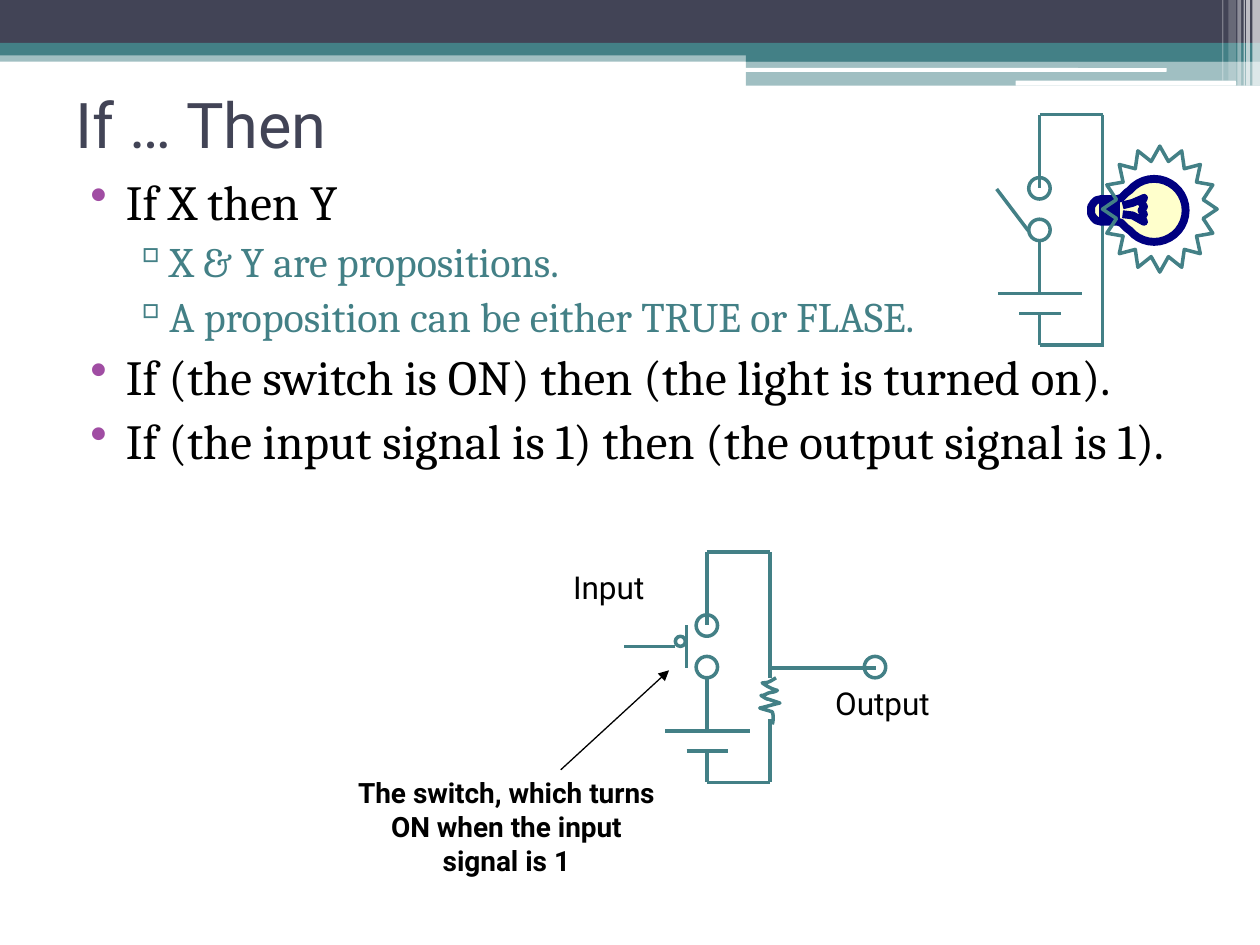
from math import cos, pi, radians, sin

from lxml.etree import SubElement
from pptx import Presentation
from pptx.dml.color import RGBColor
from pptx.enum.shapes import MSO_CONNECTOR, MSO_SHAPE
from pptx.enum.text import MSO_ANCHOR, MSO_AUTO_SIZE, PP_ALIGN
from pptx.oxml.ns import qn
from pptx.util import Inches, Pt

THEME = {
    "slate": "424456", "teal": "438086", "white": "FFFFFF", "black": "000000",
    "violet": "A04DA3", "navy": "000080", "cream": "FFFFCC",
    "title": 36, "body": (28, 24), "label": 18, "note": 16,
    "wire": 2, "arrow": 0.75, "bulb": 4.5,
    "sans": "Roboto", "serif": "Cambria",
}

TITLE = "If … Then"
BODY = [
    (0, "If X then Y"),
    (1, "X & Y are propositions."),
    (1, "A proposition can be either TRUE or FLASE."),
    (0, "If (the switch is ON) then (the light is turned on)."),
    (0, "If (the input signal is 1) then (the output signal is 1)."),
]
# bullet, bullet colour, text colour, left margin, hanging indent
LEVELS = [("•", "violet", "black", 0.4, 0.28), ("▫", "teal", "teal", 0.72, 0.27)]
LABELS = [("Output", 6.53, 5.38, 1.17), ("Input", 4.45, 4.46, 1)]
NOTE = "The switch, which turns ON when the input signal is 1"

# left, top, width, height, colour, opacity in percent
BANDS = [
    (0, 0.4, 10, 0.09, "teal", 50),
    (0, 0, 10, 0.34, "slate", 100),
    (0, 0.34, 10, 0.1, "teal", 100),
    (5.92, 0.39, 4.08, 0.1, "teal", 100),
    (5.92, 0.48, 4.08, 0.2, "teal", 50),
]
RULES = [(5.91, 0.54, 3.35, 0.03, "white", 100), (8.06, 0.64, 1.75, 0.04, "white", 100)]
STRIPES = [
    (9.94, 0, 0.06, 0.68, "white", 65), (9.89, 0, 0.03, 0.68, "white", 65),
    (9.87, 0, 0.01, 0.68, "white", 60), (9.82, 0, 0.03, 0.68, "white", 40),
    (9.75, 0, 0.06, 0.64, "white", 20), (9.7, 0, 0.01, 0.64, "white", 30),
]

# Wires and switch contacts of a battery circuit, from its top left corner
LOOP_WIRES = [
    (0, 0, 0, 0.58), (0, 0, 0.5, 0), (-0.33, 1.42, 0.34, 1.42),
    (-0.16, 1.58, 0.17, 1.58), (0, 1.83, 0.5, 1.83), (0, 1, 0, 1.42),
    (0, 1.58, 0, 1.83),
]
CONTACTS = [(0, 0.585), (0, 0.915)]
CONTACT_SIZE = 0.17
SIGNAL_ORIGIN, LAMP_ORIGIN = (5.61, 4.38), (8.25, 0.91)
SIGNAL_WIRES = [
    (6.11, 5.71, 6.11, 6.21), (6.11, 4.38, 6.11, 5.38), (5.45, 5.3, 5.45, 4.96),
    (5.36, 5.13, 4.95, 5.13), (6.11, 5.3, 6.95, 5.3),
]
LAMP_WIRES = [(8.75, 1.75, 8.75, 2.75), (8.75, 0.91, 8.75, 1.58), (8.16, 1.83, 7.91, 1.5)]
RESISTOR_START = (6.16, 5.38)
RESISTOR_CURVES = [
    (6.11, 5.41, 6.1, 5.42, 6.05, 5.42), (6.09, 5.45, 6.13, 5.47, 6.17, 5.48),
    (6.14, 5.5, 6.11, 5.49, 6.08, 5.51), (6.05, 5.52, 6.07, 5.52, 6.04, 5.52),
    (6.06, 5.53, 6.08, 5.55, 6.1, 5.55), (6.13, 5.56, 6.19, 5.58, 6.19, 5.58),
    (6.14, 5.59, 6.08, 5.61, 6.03, 5.62), (6.06, 5.63, 6.1, 5.64, 6.13, 5.65),
    (6.14, 5.68, 6.14, 5.71, 6.13, 5.75),
]
BULB_AXIS, GLASS_X, GLASS_RADIUS = 1.67, 9.16, 0.25
BULB_NECK = [(8.66, 1.67), (8.66, 1.64), (8.68, 1.61), (8.7, 1.59), (8.74, 1.58),
             (8.87, 1.58), (8.9, 1.57), (8.94, 1.53)]
FILAMENT = [(8.91, 1.63), (8.99, 1.61), (9.06, 1.58), (9.08, 1.57), (9.06, 1.61),
            (9.08, 1.64), (9.06, 1.67), (9.08, 1.7), (9.06, 1.72), (9.08, 1.76),
            (8.99, 1.71), (8.91, 1.7)]
CAP = [(8.86, 1.58), (8.86, 1.75), (8.82, 1.75), (8.82, 1.58),
       (8.78, 1.58), (8.78, 1.75), (8.75, 1.75), (8.75, 1.58)]
RAYS, RAY_CENTRE, RAY_RADII, RAY_INNER = 16, (9.205, 1.66), (0.455, 0.5), 0.77


def color(name):
    return RGBColor.from_string(THEME[name])


def style(shape, fill=None, line=None, width=0, opacity=100):
    shape.shadow.inherit = False
    if fill:
        shape.fill.solid()
        shape.fill.fore_color.rgb = color(fill)
        if opacity < 100:
            tint = shape.fill._xPr.find(qn("a:solidFill"))[0]
            SubElement(tint, qn("a:alpha"), val=str(opacity * 1000))
    else:
        shape.fill.background()
    if line:
        shape.line.color.rgb = color(line)
        shape.line.width = Pt(width)
    else:
        shape.line.fill.background()


def add_bars(shapes, kind, bars):
    for left, top, width, height, fill, opacity in bars:
        bar = shapes.add_shape(kind, *map(Inches, (left, top, width, height)))
        style(bar, fill, opacity=opacity)


def add_wire(shapes, ends, line="teal", width=THEME["wire"]):
    wire = shapes.add_connector(MSO_CONNECTOR.STRAIGHT, *map(Inches, ends))
    wire.line.color.rgb = color(line)
    wire.line.width = Pt(width)
    SubElement(wire._element.spPr, qn("a:effectLst"))
    return wire


def add_ring(shapes, x, y, size=CONTACT_SIZE):
    ring = shapes.add_shape(MSO_SHAPE.OVAL, Inches(x - size / 2), Inches(y - size / 2),
                            Inches(size), Inches(size))
    style(ring, line="teal", width=THEME["wire"])


def add_outline(shapes, strokes, closed=False, fill=None, line="teal", width=THEME["wire"]):
    """Draw one freeform from strokes, each a list of points in inches."""
    strokes = [[(Inches(x), Inches(y)) for x, y in stroke] for stroke in strokes]
    builder = shapes.build_freeform(*strokes[0][0], scale=1.0)
    for index, stroke in enumerate(strokes):
        if index:
            builder.move_to(*stroke[0])
        builder.add_line_segments(stroke[1:], close=closed)
    style(builder.convert_to_shape(), fill, line, width)


def add_text(shapes, place, text, size, font, ink):
    box = shapes.add_textbox(*map(Inches, place))
    frame = box.text_frame
    frame.word_wrap = True
    frame.text = text
    for paragraph in frame.paragraphs:
        for span in paragraph.runs:
            span.font.size, span.font.name = Pt(size), font
            span.font.color.rgb = color(ink)
    return frame


def add_body(shapes):
    frame = add_text(shapes, (0.5, 1.31, 9, 3.7), "\n".join(text for _, text in BODY),
                     THEME["body"][0], THEME["serif"], "black")
    for index, (paragraph, (level, _)) in enumerate(zip(frame.paragraphs, BODY)):
        bullet, bullet_ink, ink, margin, hang = LEVELS[level]
        paragraph.level = level
        paragraph.space_before = Pt(3 if index else 0)
        properties = paragraph._p.get_or_add_pPr()
        properties.set("marL", str(Inches(margin)))
        properties.set("indent", str(-Inches(hang)))
        tint = SubElement(properties, qn("a:buClr"))
        SubElement(tint, qn("a:srgbClr"), val=THEME[bullet_ink])
        SubElement(properties, qn("a:buChar"), char=bullet)
        span = paragraph.runs[0]
        span.font.size = Pt(THEME["body"][level])
        span.font.color.rgb = color(ink)


def add_loop(shapes, origin, extra_wires):
    x, y = origin
    for x1, y1, x2, y2 in LOOP_WIRES:
        add_wire(shapes, (x + x1, y + y1, x + x2, y + y2))
    for dx, dy in CONTACTS:
        add_ring(shapes, x + dx, y + dy)
    for ends in extra_wires:
        add_wire(shapes, ends)


def curve_points(start, curves, steps=6):
    """Sample a chain of cubic Bezier curves."""
    points = [start]
    for x1, y1, x2, y2, x3, y3 in curves:
        corners = [points[-1], (x1, y1), (x2, y2), (x3, y3)]
        for step in range(1, steps + 1):
            t = step / steps
            weights = ((1 - t) ** 3, 3 * t * (1 - t) ** 2, 3 * t * t * (1 - t), t ** 3)
            points.append(tuple(sum(w * c[axis] for w, c in zip(weights, corners))
                                for axis in (0, 1)))
    return points


def bulb_points():
    glass = [(GLASS_X + GLASS_RADIUS * cos(radians(a)), BULB_AXIS + GLASS_RADIUS * sin(radians(a)))
             for a in range(220, 361, 10)]
    upper = BULB_NECK + glass
    return upper + [(x, 2 * BULB_AXIS - y) for x, y in upper[-2:0:-1]]


def ray_points():
    reach = [(i * pi / RAYS, RAY_INNER if i % 2 else 1) for i in range(2 * RAYS)]
    return [(RAY_CENTRE[0] - RAY_RADII[0] * r * cos(a), RAY_CENTRE[1] + RAY_RADII[1] * r * sin(a))
            for a, r in reach]


def add_signal_circuit(shapes):
    add_loop(shapes, SIGNAL_ORIGIN, SIGNAL_WIRES)
    add_ring(shapes, 5.4, 5.09, 0.08)
    add_ring(shapes, 6.945, 5.295)
    add_outline(shapes, [curve_points(RESISTOR_START, RESISTOR_CURVES)])
    for text, left, top, width in LABELS:
        frame = add_text(shapes, (left, top, width, 0.4), text, THEME["label"], THEME["sans"], "black")
        frame.auto_size = MSO_AUTO_SIZE.SHAPE_TO_FIT_TEXT
    arrow = add_wire(shapes, (4.45, 6.11, 5.31, 5.32), "black", THEME["arrow"])
    SubElement(arrow.line._get_or_add_ln(), qn("a:tailEnd"), type="triangle")
    note = add_text(shapes, (2.72, 6.11, 2.6, 0.9), NOTE, THEME["note"], THEME["sans"], "black")
    note.auto_size = MSO_AUTO_SIZE.SHAPE_TO_FIT_TEXT
    note.paragraphs[0].alignment = PP_ALIGN.CENTER
    note.paragraphs[0].runs[0].font.bold = True


def add_lamp_circuit(shapes):
    add_loop(shapes, LAMP_ORIGIN, LAMP_WIRES)
    add_outline(shapes, [bulb_points()], True, "cream", "navy", THEME["bulb"])
    add_outline(shapes, [FILAMENT, CAP], line="navy", width=THEME["bulb"])
    add_outline(shapes, [ray_points()], True)


def main():
    deck = Presentation()
    deck.slide_width, deck.slide_height = Inches(10), Inches(7.5)
    page = deck.slides.add_slide(deck.slide_layouts[6])
    add_bars(page.shapes, MSO_SHAPE.RECTANGLE, BANDS)
    add_bars(page.shapes, MSO_SHAPE.ROUNDED_RECTANGLE, RULES)
    add_bars(page.shapes, MSO_SHAPE.RECTANGLE, STRIPES)
    title = add_text(page.shapes, (0.5, 0.39, 9, 1.17), TITLE, THEME["title"], THEME["sans"], "slate")
    title.vertical_anchor = MSO_ANCHOR.MIDDLE
    add_body(page.shapes)
    add_signal_circuit(page.shapes.add_group_shape().shapes)
    add_lamp_circuit(page.shapes.add_group_shape().shapes)
    deck.save("out.pptx")


if __name__ == "__main__":
    main()
